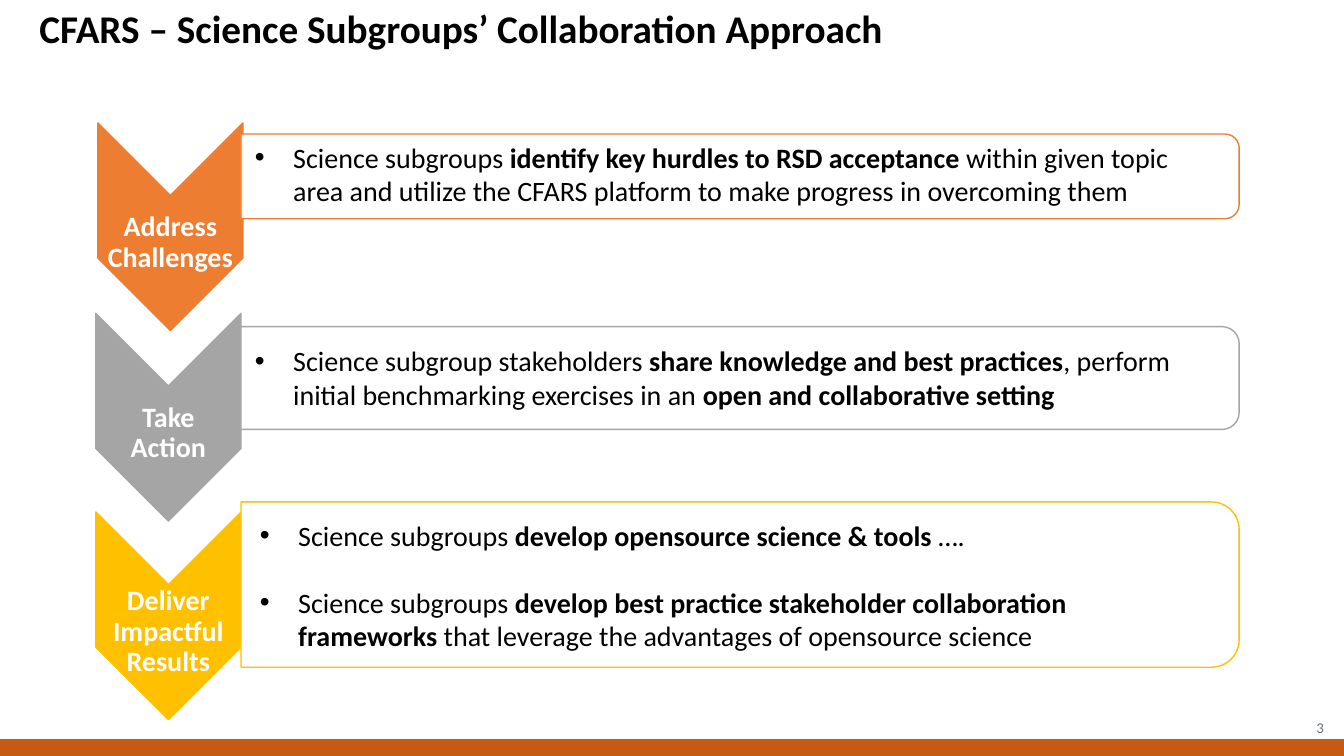
import pptx
import pptx.dml.color
import pptx.enum.shapes
import pptx.enum.text
import pptx.oxml.ns
import pptx.util
from lxml import etree

RGBColor = pptx.dml.color.RGBColor
Shapes = pptx.enum.shapes.MSO_SHAPE
Align = pptx.enum.text.PP_ALIGN
Anchor = pptx.enum.text.MSO_ANCHOR
qn = pptx.oxml.ns.qn

EMU_PER_PX = 9144  # 100 px to the inch
FONT = "Calibri"
BLACK = RGBColor(0x00, 0x00, 0x00)
WHITE = RGBColor(0xFF, 0xFF, 0xFF)
GREY_TEXT = RGBColor(0x6A, 0x73, 0x7B)
RUST = RGBColor(0xC5, 0x5A, 0x11)
ORANGE = RGBColor(0xED, 0x7D, 0x31)
GREY = RGBColor(0xA5, 0xA5, 0xA5)
GOLD = RGBColor(0xFF, 0xC0, 0x00)

CHEVRON_WIDTH, CHEVRON_HEIGHT = 144, 206
PANEL_LEFT, PANEL_WIDTH = 239, 990
LABEL_HEIGHT, LABEL_DROP = 92, 16  # drop below the chevron's middle
BULLET_INDENT = 38

# Each stage: colour, chevron (left, top), label lines, panel (top, height),
# bullet text (left, top, width, height), bullets as (text, bold) runs
STAGES = [
    (ORANGE, (97, 122), ["Address", "Challenges"], (133, 84), (243, 134, 940, 78), [
        [("Science subgroups ", False),
         ("identify key hurdles to RSD acceptance ", True),
         ("within given topic area and utilize the CFARS platform "
          "to make progress in overcoming them", False)],
    ]),
    (GREY, (95, 311), ["Take", "Action"], (324, 102), (243, 336, 974, 78), [
        [("Science subgroup stakeholders ", False),
         ("share knowledge and best practices", True),
         (", perform initial benchmarking exercises in an ", False),
         ("open and collaborative setting", True)],
    ]),
    (GOLD, (95, 508), ["Deliver", "Impactful", "Results"], (498, 164), (248, 509, 963, 145), [
        [("Science subgroups ", False),
         ("develop opensource science & tools ", True),
         ("….", False)],
        [("Science subgroups ", False),
         ("develop best practice stakeholder collaboration frameworks ", True),
         ("that leverage the advantages of opensource science", False)],
    ]),
]


def px(length):
    return pptx.util.Emu(round(length * EMU_PER_PX))


def add_run(paragraph, text, size, color, bold=False):
    run = paragraph.add_run()
    run.text = text
    run.font.name = FONT
    run.font.size = pptx.util.Pt(size)
    run.font.bold = bold
    run.font.color.rgb = color


def add_text_frame(slide, left, top, width, height, anchor, insets=(10, 5, 10, 5)):
    shape = slide.shapes.add_textbox(px(left), px(top), px(width), px(height))
    frame = shape.text_frame
    frame.word_wrap = True
    frame.vertical_anchor = anchor
    (frame.margin_left, frame.margin_top,
     frame.margin_right, frame.margin_bottom) = map(px, insets)
    return frame


def add_lines(frame, lines, size, color, bold=False, align=Align.LEFT, spacing=1.0):
    for index, line in enumerate(lines):
        paragraph = frame.add_paragraph() if index else frame.paragraphs[0]
        paragraph.alignment = align
        paragraph.line_spacing = spacing
        add_run(paragraph, line, size, color, bold)


def add_bullets(frame, bullets):
    for index, runs in enumerate(bullets):
        paragraph = frame.add_paragraph() if index else frame.paragraphs[0]
        if index:
            paragraph.space_before = pptx.util.Pt(24)
        properties = paragraph._p.get_or_add_pPr()
        properties.set("marL", str(px(BULLET_INDENT)))
        properties.set("indent", str(-px(BULLET_INDENT)))
        etree.SubElement(properties, qn("a:buFont")).set("typeface", "Arial")
        etree.SubElement(properties, qn("a:buChar")).set("char", "•")
        for text, bold in runs:
            add_run(paragraph, text, 20, BLACK, bold)


def add_block(slide, kind, left, top, width, height, fill, line):
    shape = slide.shapes.add_shape(kind, px(left), px(top), px(width), px(height))
    shape.shadow.inherit = False
    shape.fill.solid()
    shape.fill.fore_color.rgb = fill
    shape.line.color.rgb = line
    shape.line.width = pptx.util.Pt(1)
    return shape


def add_turned_block(slide, kind, left, top, width, height, fill, line):
    """Place a shape turned by 90 degrees so that it covers the given frame."""
    shift = (width - height) / 2
    shape = add_block(slide, kind, left + shift, top - shift, height, width, fill, line)
    shape.rotation = 90
    return shape


def set_opacity(shape, percent):
    color = shape._element.spPr.find(qn("a:solidFill"))[0]
    etree.SubElement(color, qn("a:alpha")).set("val", str(percent * 1000))


def add_stage(slide, color, chevron_place, label, panel_place):
    left, top = chevron_place
    add_turned_block(slide, Shapes.CHEVRON, left, top,
                     CHEVRON_WIDTH, CHEVRON_HEIGHT, color, color)
    label_top = top + (CHEVRON_HEIGHT - LABEL_HEIGHT) / 2 + LABEL_DROP
    frame = add_text_frame(slide, left, label_top, CHEVRON_WIDTH, LABEL_HEIGHT,
                           Anchor.MIDDLE, (1, 1, 1, 1))
    add_lines(frame, label, 20, WHITE, True, Align.CENTER, 0.9)
    panel_top, panel_height = panel_place
    panel = add_turned_block(slide, Shapes.ROUND_2_SAME_RECTANGLE, PANEL_LEFT, panel_top,
                             PANEL_WIDTH, panel_height, WHITE, color)
    set_opacity(panel, 90)


def main():
    presentation = pptx.Presentation()
    presentation.slide_width = px(1333)
    presentation.slide_height = px(750)
    slide = presentation.slides.add_slide(presentation.slide_layouts[6])

    # Page number and footer bar
    number = add_text_frame(slide, 1267, 702, 56, 40, Anchor.MIDDLE)
    add_lines(number, ["3"], 10.7, GREY_TEXT, align=Align.RIGHT)
    add_block(slide, Shapes.RECTANGLE, -1, 732, 1342, 25, RUST, WHITE)

    # Title
    title = add_text_frame(slide, 0, 11, 1135, 40, Anchor.MIDDLE, (39, 5, 10, 5))
    add_lines(title, ["CFARS – Science Subgroups’ Collaboration Approach"],
              28, BLACK, True, spacing=0.9)

    # Stages with their bullets
    for color, chevron_place, label, panel_place, text_place, bullets in STAGES:
        add_stage(slide, color, chevron_place, label, panel_place)
        add_bullets(add_text_frame(slide, *text_place, Anchor.TOP), bullets)

    presentation.save("out.pptx")


if __name__ == "__main__":
    main()
